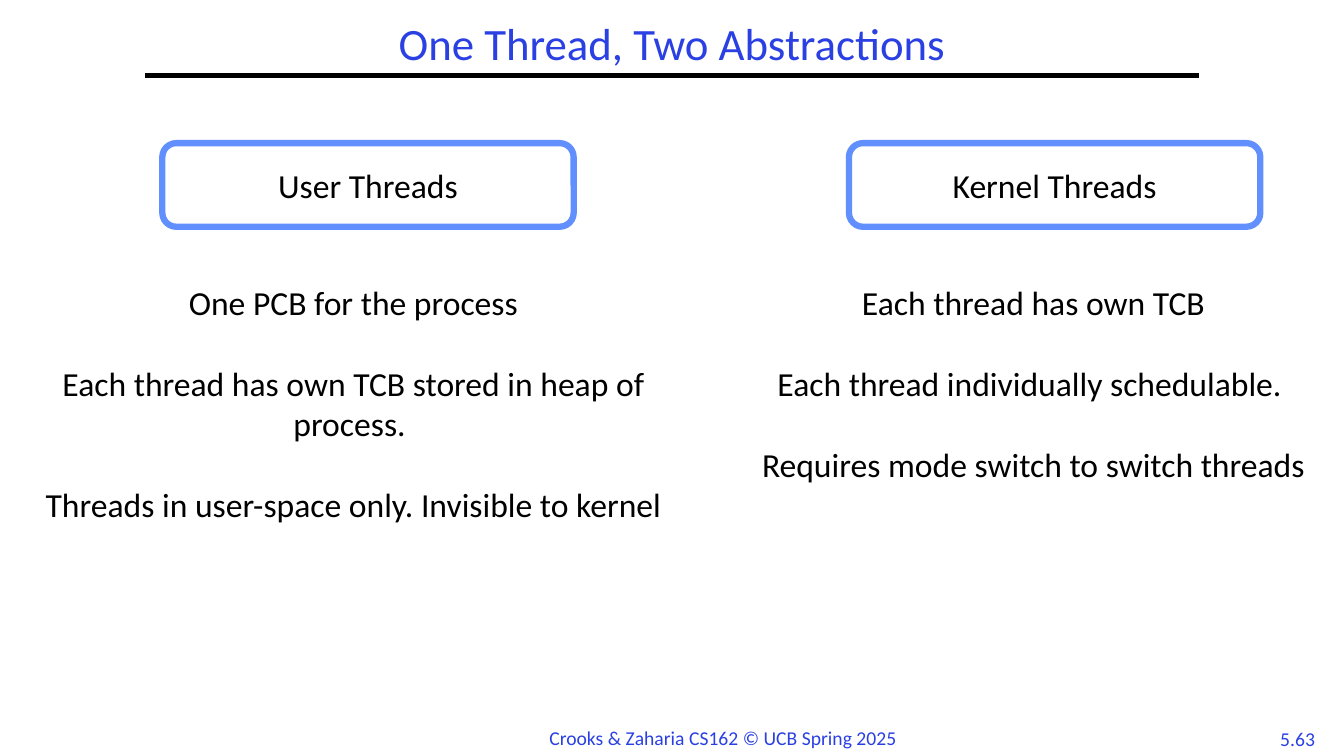
from lxml import etree
from pptx import Presentation
from pptx import util as u
from pptx.dml.color import RGBColor
from pptx.enum import shapes, text
from pptx.oxml.ns import qn

WIDTH, HEIGHT = 13.33, 7.5
COLORS = {"accent": "2A40E2", "border": "618FFD", "ink": "000000", "paper": "FFFFFF"}
FONT = "Calibri"

TITLE = "One Thread, Two Abstractions"
FOOTER = "Crooks & Zaharia CS162 © UCB Spring 2025"
PAGE = "5.63"
# heading, heading left, body left, body width, statements
COLUMNS = [
    ("User Threads", 1.61, 0.17, 6.67, [
        "One PCB for the process",
        "Each thread has own TCB stored in heap of process. ",
        "Threads in user-space only. Invisible to kernel",
    ]),
    ("Kernel Threads", 8.42, 7.25, 6, [
        "Each thread has own TCB",
        "Each thread individually schedulable. ",
        "Requires mode switch to switch threads",
    ]),
]
RULE_LEFT, RULE_TOP = 1.44, 0.1 * HEIGHT
RULE_WIDTH = 10.45
HEADING_TOP, HEADING_SIZE = 1.42, (4.08, 0.83)
BODY_TOP, BODY_HEIGHT = 2.75, 3.33
STATEMENT_GAP = 29  # one line of 24 pt text


def color(name):
    return RGBColor.from_string(COLORS[name])


def write(shape, lines, size, ink="ink", gap=0, wrap=True, anchor="TOP", **formats):
    frame = shape.text_frame
    frame.word_wrap = wrap
    frame.vertical_anchor = getattr(text.MSO_ANCHOR, anchor)
    for index, line in enumerate(lines):
        paragraph = frame.add_paragraph() if index else frame.paragraphs[0]
        paragraph.text = line
        if index:
            paragraph.space_before = u.Pt(gap)
        for name, value in {"alignment": text.PP_ALIGN.CENTER, **formats}.items():
            setattr(paragraph, name, value)
        for name, value in {"name": FONT, "size": u.Pt(size)}.items():
            setattr(paragraph.font, name, value)
        paragraph.font.color.rgb = color(ink)


def add_text(slide, box, lines, size, **options):
    shape = slide.shapes.add_textbox(*map(u.Inches, box))
    write(shape, lines, size, **options)


def add_rule(slide):
    ends = (RULE_LEFT, RULE_TOP, RULE_LEFT + RULE_WIDTH, RULE_TOP)
    rule = slide.shapes.add_connector(shapes.MSO_CONNECTOR.STRAIGHT, *map(u.Inches, ends))
    rule.line.color.rgb = color("ink")
    rule.line.width = u.Pt(3)
    etree.SubElement(rule._element.spPr, qn("a:effectLst"))


def add_heading(slide, left, heading):
    box = (left, HEADING_TOP, *HEADING_SIZE)
    shape = slide.shapes.add_shape(shapes.MSO_SHAPE.ROUNDED_RECTANGLE, *map(u.Inches, box))
    shape.shadow.inherit = False
    shape.fill.solid()
    shape.fill.fore_color.rgb = color("paper")
    shape.line.color.rgb = color("border")
    shape.line.width = u.Pt(4.5)
    write(shape, [heading], 24, anchor="MIDDLE")


def main():
    presentation = Presentation()
    presentation.slide_width, presentation.slide_height = u.Inches(WIDTH), u.Inches(HEIGHT)
    slide = presentation.slides.add_slide(presentation.slide_layouts[6])
    add_text(slide, (12.58, 7.16, 0.58, 0.33), [PAGE], 14, ink="accent", wrap=False)
    add_rule(slide)
    add_text(slide, (5.35, 7.15, 3.67, 0.34), [FOOTER], 14, ink="accent", wrap=False,
             alignment=text.PP_ALIGN.LEFT)
    add_text(slide, (RULE_LEFT, 0.17, RULE_WIDTH, 0.58), [TITLE], 32, ink="accent",
             anchor="MIDDLE", line_spacing=0.9)
    for heading, heading_left, body_left, body_width, statements in COLUMNS:
        add_heading(slide, heading_left, heading)
        add_text(slide, (body_left, BODY_TOP, body_width, BODY_HEIGHT), statements, 24,
                 gap=STATEMENT_GAP)
    presentation.save("out.pptx")


if __name__ == "__main__":
    main()
